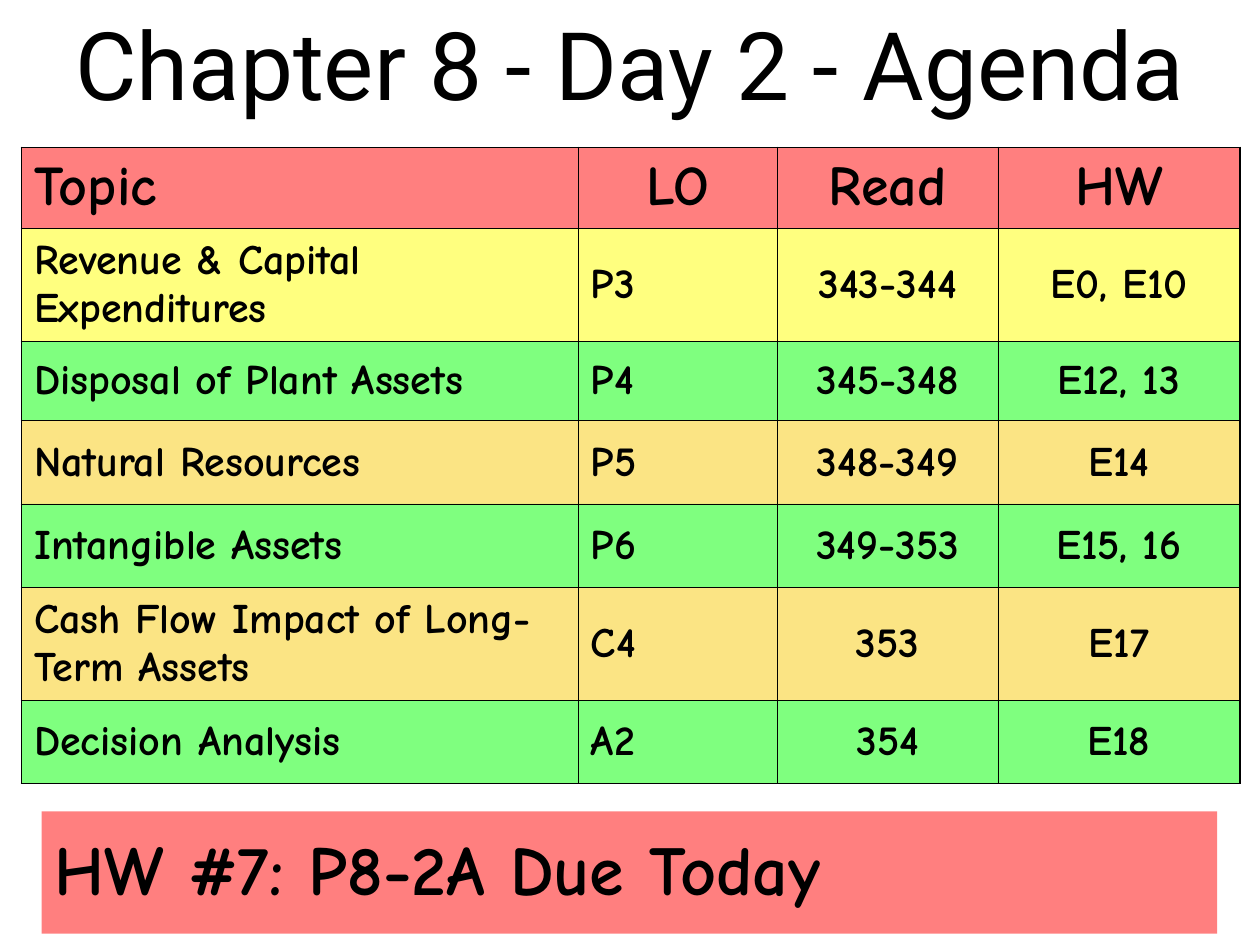
from lxml.etree import SubElement
from pptx import Presentation
from pptx.dml.color import RGBColor
from pptx.enum.text import MSO_ANCHOR as Anchor, MSO_AUTO_SIZE as AutoSize, PP_ALIGN as Align
from pptx.oxml.ns import qn
from pptx.util import Inches, Pt

COLORS = {"black": "000000", "red": "FF0000", "yellow": "FFFF00",
          "green": "00FF00", "gold": "F8CB0A"}
NO_STYLE = "{2D5ABB26-0587-4C30-8999-92F81FD0307C}"
THIN, THICK = Pt(0.45), Pt(1.08)
COLUMN_WIDTHS = [4.42, 1.58, 1.75, 1.92]
ROW_HEIGHTS = [0.64, 0.9, 0.63, 0.66, 0.66, 0.9, 0.66]
AGENDA = [
    ("red", ["Topic", "LO", "Read", "HW"]),
    ("yellow", ["Revenue & Capital Expenditures", "P3", "343-344", "E0, E10"]),
    ("green", ["Disposal of Plant Assets", "P4", "345-348", "E12, 13"]),
    ("gold", ["Natural Resources", "P5", "348-349", "E14"]),
    ("green", ["Intangible Assets", "P6", "349-353", "E15, 16"]),
    ("gold", ["Cash Flow Impact of Long-Term Assets", "C4", "353", "E17"]),
    ("green", ["Decision Analysis", "A2", "354", "E18"]),
]


def write_text(text_frame, text, align=Align.LEFT, **font_values):
    """Write one black paragraph with the given font values."""
    text_frame.text = text
    paragraph = text_frame.paragraphs[0]
    paragraph.alignment = align
    for name, value in font_values.items():
        setattr(paragraph.font, name, value)
    paragraph.font.color.rgb = RGBColor.from_string(COLORS["black"])


def add_border(cell, side, width):
    """Draw a solid black line on one side of a cell."""
    line = SubElement(cell._tc.get_or_add_tcPr(), qn(f"a:ln{side}"), w=str(width))
    fill = SubElement(line, qn("a:solidFill"))
    SubElement(fill, qn("a:srgbClr"), val=COLORS["black"])


def fill_cell(cell, color):
    """Fill a cell with a half-transparent colour."""
    cell.fill.solid()
    cell.fill.fore_color.rgb = RGBColor.from_string(COLORS[color])
    color_element = cell._tc.tcPr.find(".//" + qn("a:srgbClr"))
    properties = cell._tc.tcPr.find(qn("a:solidFill"))
    color_element = properties.find(qn("a:srgbClr"))
    SubElement(color_element, qn("a:alpha"), val="50000")


def add_plain_table(slide, left, top, widths, heights):
    """Add a table without style and with set column widths and row heights."""
    table = slide.shapes.add_table(
        len(heights), len(widths), Inches(left), Inches(top),
        Inches(sum(widths)), Inches(sum(heights))).table
    table.first_row = table.horz_banding = False
    table._tbl.tblPr.find(qn("a:tableStyleId")).text = NO_STYLE
    for column, width in zip(table.columns, widths):
        column.width = Inches(width)
    for row, height in zip(table.rows, heights):
        row.height = Inches(height)
    return table


def write_cell(cell, text, color, size, align=Align.LEFT):
    """Fill a cell and write its bold, vertically centred text."""
    fill_cell(cell, color)
    cell.vertical_anchor = Anchor.MIDDLE
    write_text(cell.text_frame, text, align, name="Comic Neue", size=Pt(size), bold=True)


def add_title(slide, text):
    """Place and format the title across the top of the slide."""
    title = slide.shapes.title
    place = {"left": 0, "top": 0, "width": 10, "height": 1}
    for name, value in place.items():
        setattr(title, name, Inches(value))
    frame_format = {"vertical_anchor": Anchor.TOP, "word_wrap": True,
                    "auto_size": AutoSize.NONE}
    for name, value in frame_format.items():
        setattr(title.text_frame, name, value)
    write_text(title.text_frame, text, Align.CENTER, name="Roboto", size=Pt(54))


def add_agenda(slide):
    """Add the agenda table with thick outer and thin inner borders."""
    table = add_plain_table(slide, 0.17, 1.17, COLUMN_WIDTHS, ROW_HEIGHTS)
    last_row, last_column = len(AGENDA) - 1, len(COLUMN_WIDTHS) - 1
    for row, (color, texts) in enumerate(AGENDA):
        first_centered, size = (1, 32) if row == 0 else (2, 24)
        for column, text in enumerate(texts):
            cell = table.cell(row, column)
            outer_sides = {"L": column == 0, "R": column == last_column,
                           "T": row == 0, "B": row == last_row}
            for side, is_outer in outer_sides.items():
                add_border(cell, side, THICK if is_outer else THIN)
            align = Align.CENTER if column >= first_centered else Align.LEFT
            write_cell(cell, text, color, size, align)


def add_homework(slide, text):
    """Add the one-cell homework banner."""
    table = add_plain_table(slide, 0.33, 6.44, [9.33], [0.97])
    write_cell(table.cell(0, 0), text, "red", 40)


def main():
    """Build the agenda slide and save it."""
    presentation = Presentation()
    presentation.slide_width, presentation.slide_height = Inches(10), Inches(7.5)
    slide = presentation.slides.add_slide(presentation.slide_layouts[5])
    add_title(slide, "Chapter 8 - Day 2 - Agenda")
    add_agenda(slide)
    add_homework(slide, "HW #7: P8-2A Due Today")
    presentation.save("out.pptx")


if __name__ == "__main__":
    main()
